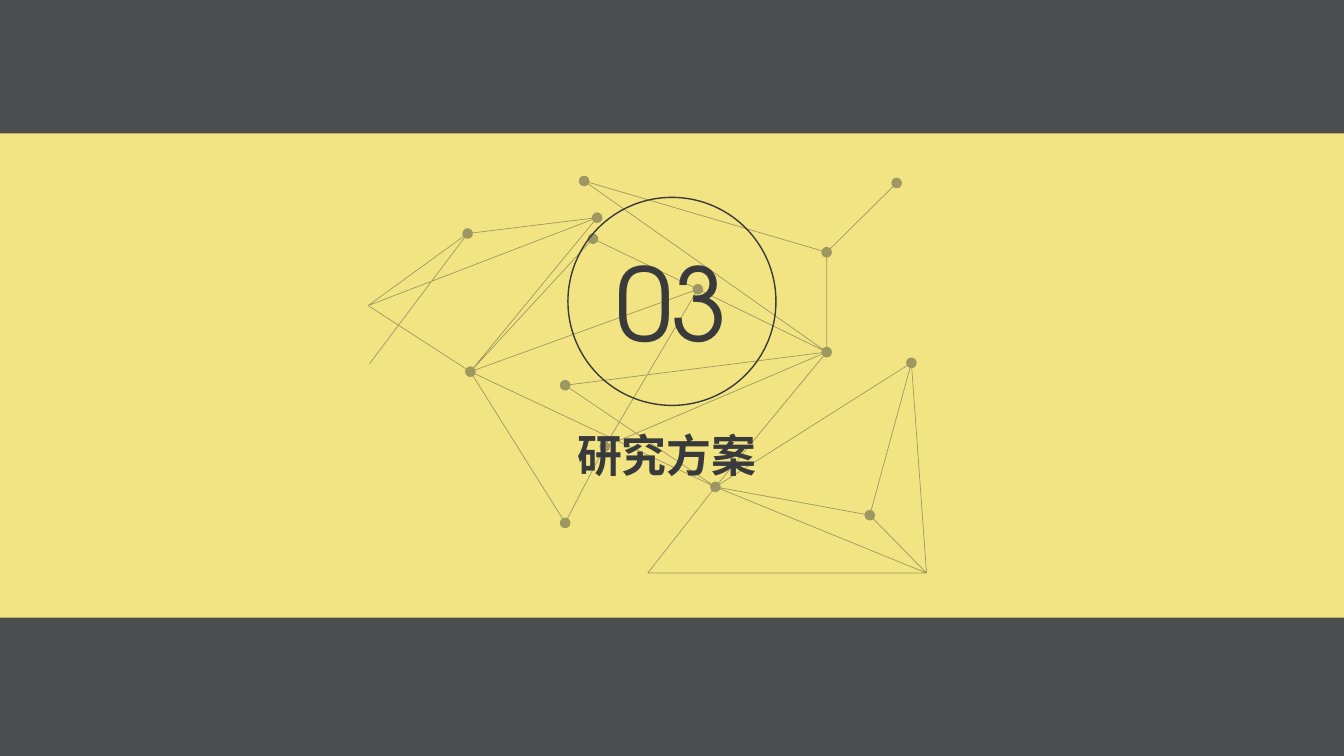
from math import cos, hypot, pi, sin

from lxml.etree import SubElement
from pptx import Presentation
from pptx.dml.color import RGBColor
from pptx.enum.shapes import MSO_SHAPE
from pptx.enum.text import MSO_ANCHOR, PP_ALIGN
from pptx.oxml.ns import qn
from pptx.util import Pt

COLORS = {"back": "4B4D4F", "band": "F3E483", "ink": "383A3B"}

DOTS = {
    "a": (417.2, 129.3), "b": (640.5, 130.7), "c": (426.5, 155.5),
    "d": (334, 166.8), "e": (423.5, 170.5), "f": (590.5, 180.2),
    "g": (498.5, 206.6), "h": (590.5, 251.5), "i": (651, 259.2),
    "j": (336, 265.5), "k": (403.7, 275.2), "l": (432, 319),
    "m": (511, 347.8), "n": (621.3, 368), "o": (403.7, 373.5),
}
TIPS = {"p": (263, 218.3), "q": (263.8, 260), "r": (462.7, 409.3), "s": (661.8, 409.3)}
EDGES = (
    "af ah bf fh cd cp cj dp dq pj ej eg gj gh gl "
    "jm kh km hl hm mr jo lo mi mn ms in is ns rs"
).split()
RADIUS = 3.8
WIDTH = 0.5


def disc(spot, steps=12):
    x, y = spot
    turns = [2 * pi * step / steps for step in range(steps)]
    return [(x + RADIUS * cos(turn), y + RADIUS * sin(turn)) for turn in turns]


def strip(edge):
    (ax, ay), (bx, by) = ({**DOTS, **TIPS}[name] for name in edge)
    span = hypot(bx - ax, by - ay)
    ux, uy = (bx - ax) / span, (by - ay) / span
    head, tail = (RADIUS if name in DOTS else 0 for name in edge)
    ax, ay = ax + ux * head, ay + uy * head
    bx, by = bx - ux * tail, by - uy * tail
    dx, dy = -uy * WIDTH / 2, ux * WIDTH / 2
    return [(ax + dx, ay + dy), (bx + dx, by + dy),
            (bx - dx, by - dy), (ax - dx, ay - dy)]


class Deck:
    def __init__(self, colors):
        self.colors = colors
        self.file = Presentation()
        self.file.slide_width, self.file.slide_height = Pt(960), Pt(540)
        self.slide = self.file.slides.add_slide(self.file.slide_layouts[6])
        self.paint(self.slide.background.fill, "back")

    def paint(self, fill, color):
        fill.solid()
        fill.fore_color.rgb = RGBColor.from_string(self.colors[color])

    def dress(self, item, fill=None, line=None):
        item.shadow.inherit = False
        for part, color in ((item.fill, fill), (item.line.fill, line)):
            if color:
                self.paint(part, color)
            else:
                part.background()
        if line:
            item.line.width = Pt(1)
        return item

    def shape(self, kind, box, **look):
        item = self.slide.shapes.add_shape(kind, *map(Pt, box))
        return self.dress(item, **look)

    def form(self, loops, **look):
        loops = [[(Pt(x), Pt(y)) for x, y in loop] for loop in loops]
        maker = self.slide.shapes.build_freeform(*loops[0][0])
        for loop in loops:
            if loop is not loops[0]:
                maker.move_to(*loop[0])
            maker.add_line_segments(loop[1:], close=True)
        return self.dress(maker.convert_to_shape(), **look)

    def fade(self, item, share):
        color = item._element.spPr.find(qn("a:solidFill"))[0]
        SubElement(color, qn("a:alpha"), val=str(share * 1000))

    def label(self, item, text, **style):
        frame = item.text_frame
        layout = {"word_wrap": True, "vertical_anchor": MSO_ANCHOR.MIDDLE}
        for side in ("left", "top", "right", "bottom"):
            layout[f"margin_{side}"] = Pt(1.5)
        for name, value in layout.items():
            setattr(frame, name, value)
        line = frame.paragraphs[0]
        line.alignment = PP_ALIGN.CENTER
        run = line.add_run()
        run.text = text
        for name, value in style.items():
            setattr(run.font, name, value)
        self.paint(run.font.fill, "ink")


def main():
    deck = Deck(COLORS)
    deck.shape(MSO_SHAPE.RECTANGLE, (0, 95.3, 960, 346), fill="band")
    loops = [strip(edge) for edge in EDGES] + [disc(spot) for spot in DOTS.values()]
    deck.fade(deck.form(loops, fill="ink"), 45)
    ring = deck.shape(MSO_SHAPE.OVAL, (405.7, 141, 148.6, 148.6), line="ink")
    deck.label(ring, "03", name="TeX Gyre Adventor", size=Pt(72))
    left, top, right, low = 283, 296, 669.6, 353
    title = deck.form([[(left, top), (right, top), (right, low), (left, low)]])
    deck.label(title, "研究方案", name="Manrope", size=Pt(32), bold=True)
    deck.file.save("out.pptx")


if __name__ == "__main__":
    main()
